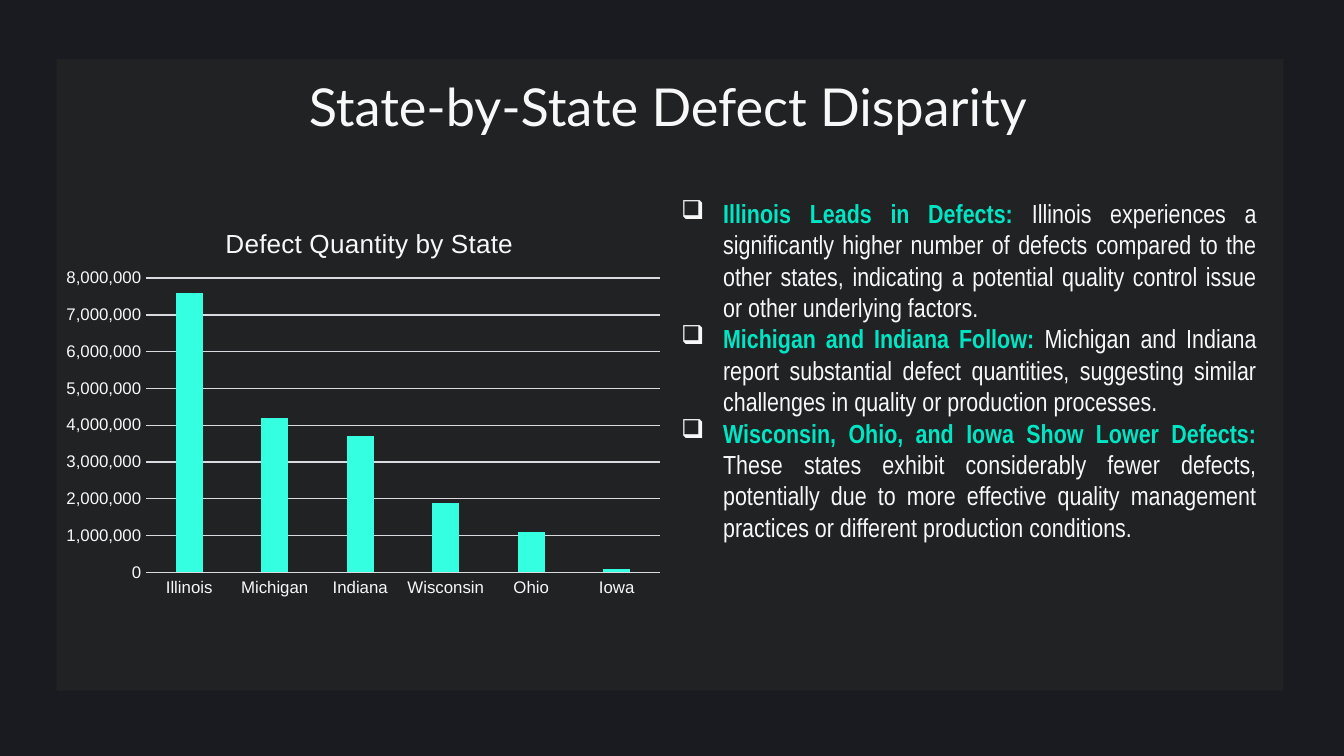
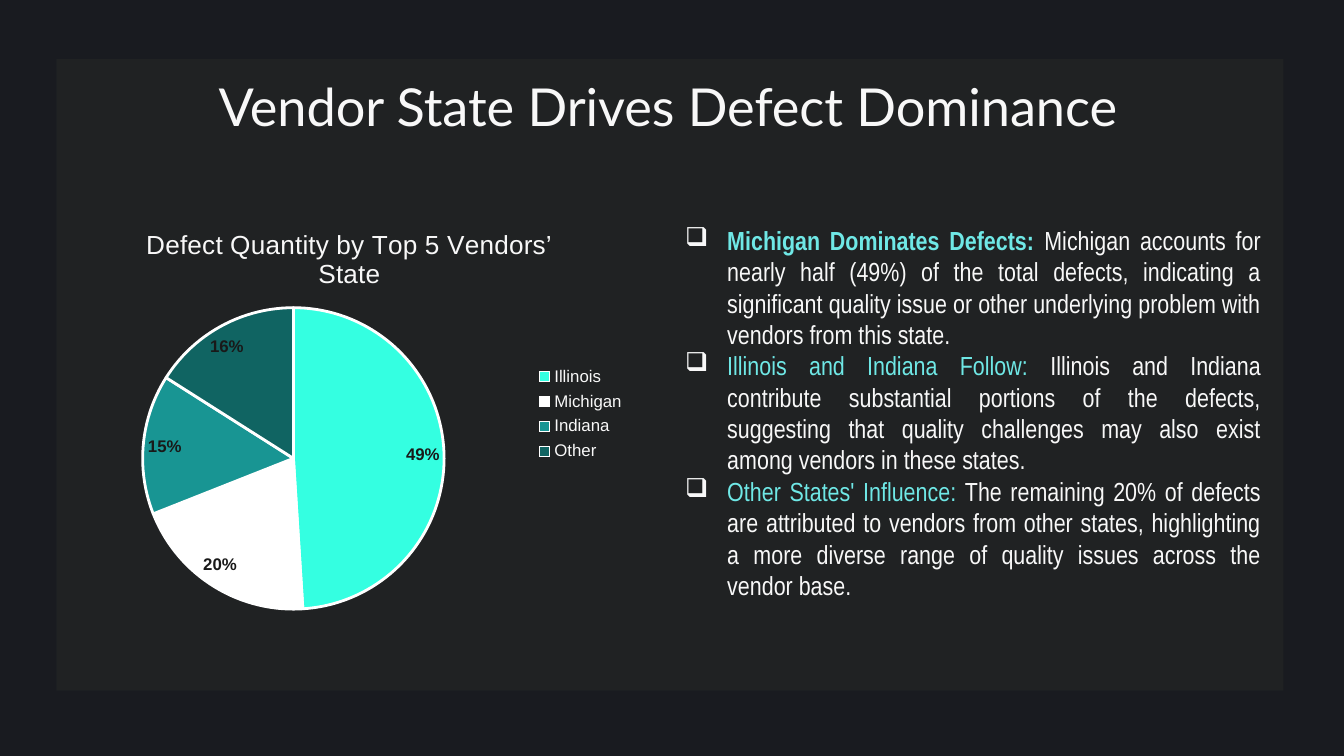
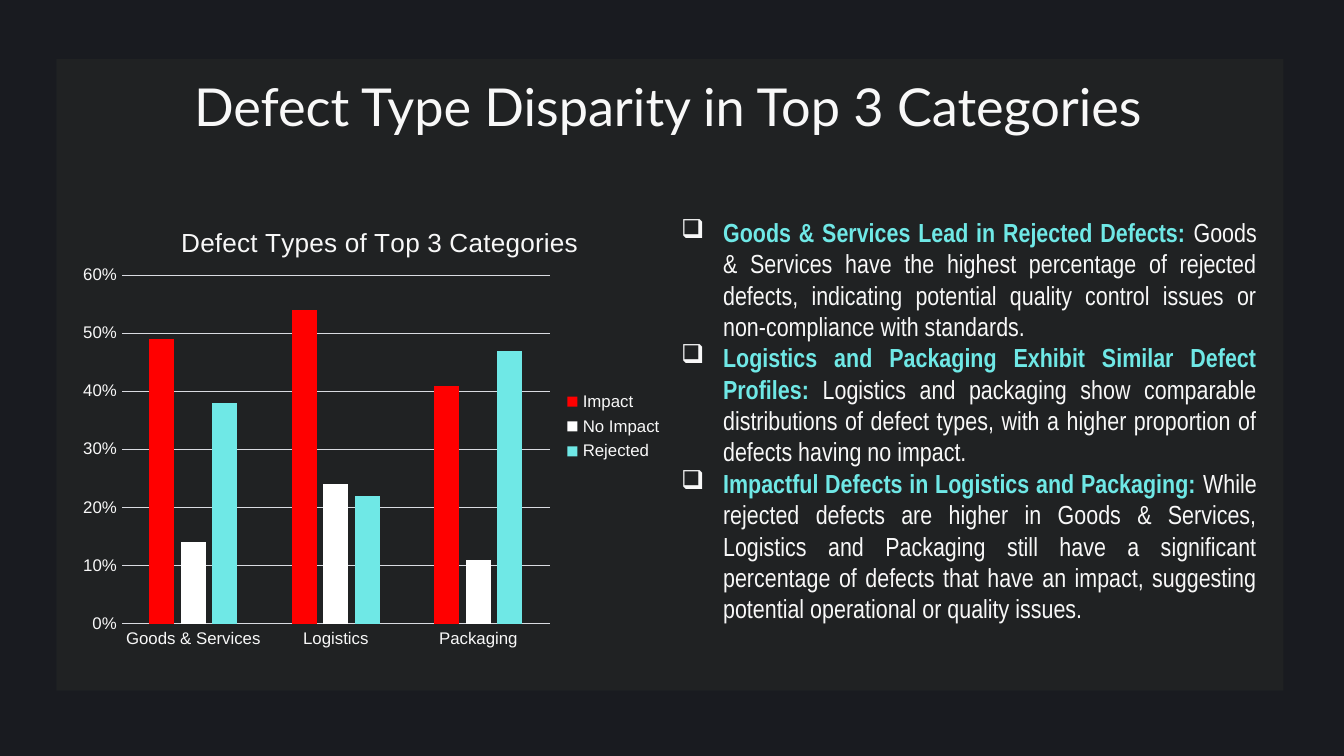
"""Build three dark slides on defect quantities and types."""
import lxml.etree
import pptx
import pptx.chart.data
import pptx.dml.color
import pptx.enum.chart
import pptx.enum.shapes
import pptx.enum.text
import pptx.oxml.ns
import pptx.util

Pt = pptx.util.Pt
RGB = pptx.dml.color.RGBColor
XL = pptx.enum.chart
qn = pptx.oxml.ns.qn

INK = RGB(0x19, 0x1B, 0x20)
PANEL = RGB(0x22, 0x25, 0x25)
LIGHT = RGB(0xF8, 0xF8, 0xF8)
GRID = RGB(0xD9, 0xDB, 0xE1)
LABEL = RGB(0x19, 0x19, 0x19)
WHITE = RGB(0xFF, 0xFF, 0xFF)
RED = RGB(0xFF, 0x00, 0x00)
GREEN = RGB(0x00, 0xE6, 0xC4)
AQUA = RGB(0x6F, 0xE8, 0xE6)
TURQUOISE = RGB(0x34, 0xFF, 0xE1)
TEAL = RGB(0x18, 0x95, 0x93)
DEEP_TEAL = RGB(0x10, 0x64, 0x62)


class Deck:
    """Hold the shared style and the current slide."""

    def __init__(self):
        self.prs = pptx.Presentation()
        self.prs.slide_width, self.prs.slide_height = Pt(720), Pt(405)
        self.layout = self.prs.slide_layouts[5]
        fill = self.prs.slide_master.background.fill
        fill.solid()
        fill.fore_color.rgb = INK
        self.s = None

    def style(self, font, size, color, name="Arial", bold=False):
        font.size, font.name, font.bold = Pt(size), name, bold
        font.color.rgb = color

    def paint(self, fmt, color):
        fmt.fill.solid()
        fmt.fill.fore_color.rgb = color

    def slide(self, title, height=62.6):
        self.s = self.prs.slides.add_slide(self.layout)
        sp = self.s.shapes.title
        sp.left, sp.top, sp.width, sp.height = Pt(28.8), Pt(32.4), Pt(658), Pt(height)
        tf = sp.text_frame
        tf.text = title
        tf.word_wrap = True
        tf.auto_size = pptx.enum.text.MSO_AUTO_SIZE.NONE
        tf.vertical_anchor = pptx.enum.text.MSO_ANCHOR.TOP
        tf.margin_left = tf.margin_right = tf.margin_top = tf.margin_bottom = Pt(7.2)
        p = tf.paragraphs[0]
        p.alignment = pptx.enum.text.PP_ALIGN.CENTER
        self.style(p.runs[0].font, 28, LIGHT, "Lato")

    def panel(self):
        sp = self.s.shapes.add_shape(
            pptx.enum.shapes.MSO_SHAPE.RECTANGLE, Pt(30.2), Pt(31.7), Pt(657.4), Pt(338.4))
        sp.shadow.inherit = False
        self.paint(sp, PANEL)
        sp.line.fill.background()
        color = sp.element.find(".//" + qn("a:srgbClr"))
        lxml.etree.SubElement(color, qn("a:alpha"), val="78000")
        self.layout.shapes.element.insert(2, sp.element)

    def bullet(self, p):
        pPr = p._p.get_or_add_pPr()
        pPr.set("marL", str(Pt(22.5)))
        pPr.set("indent", str(-Pt(22.5)))
        color = lxml.etree.SubElement(pPr, qn("a:buClr"))
        lxml.etree.SubElement(color, qn("a:srgbClr"), val=str(LIGHT))
        lxml.etree.SubElement(pPr, qn("a:buChar"), char="❑")

    def findings(self, left, top, height, color, items, bold_leads=3):
        sp = self.s.shapes.add_textbox(Pt(left), Pt(top), Pt(322.6), Pt(height))
        tf = sp.text_frame
        tf.word_wrap = True
        tf.auto_size = pptx.enum.text.MSO_AUTO_SIZE.SHAPE_TO_FIT_TEXT
        for i, (lead, body) in enumerate(items):
            p = tf.add_paragraph() if i else tf.paragraphs[0]
            p.alignment = pptx.enum.text.PP_ALIGN.JUSTIFY
            self.bullet(p)
            for text, ink, bold in ((lead, color, i < bold_leads), (" " + body, LIGHT, False)):
                r = p.add_run()
                r.text = text
                self.style(r.font, 14, ink, "Arial Narrow", bold)

    def place(self, parent, index, **fractions):
        old = parent.find(qn("c:layout"))
        if old is not None:
            parent.remove(old)
        layout = lxml.etree.Element(qn("c:layout"))
        manual = lxml.etree.SubElement(layout, qn("c:manualLayout"))
        if "w" in fractions:
            lxml.etree.SubElement(manual, qn("c:layoutTarget"), val="inner")
        for mode in ("xMode", "yMode"):
            lxml.etree.SubElement(manual, qn("c:" + mode), val="edge")
        for key, value in fractions.items():
            lxml.etree.SubElement(manual, qn("c:" + key), val=str(value))
        parent.insert(index, layout)

    def chart(self, kind, box, title, title_x, plot, cats, series, fmt, legend=True):
        data = pptx.chart.data.CategoryChartData(number_format=fmt)
        data.categories = cats
        for name, values in series:
            data.add_series(name, values)
        chart = self.s.shapes.add_chart(kind, *map(Pt, box), data).chart
        self.style(chart.font, 10, INK)
        chart.has_title = True
        tf = chart.chart_title.text_frame
        tf.text = title
        self.style(tf.paragraphs[0].runs[0].font, 14, LIGHT)
        self.place(chart.chart_title._element, 1, x=title_x, y=0.05)
        self.place(chart._chartSpace.chart.plotArea, 0, **dict(zip("xywh", plot)))
        chart.has_legend = legend
        if legend:
            chart.legend.position = XL.XL_LEGEND_POSITION.RIGHT
            chart.legend.include_in_layout = False
            self.style(chart.legend.font, 9, LIGHT)
        return chart

    def columns(self, box, title, title_x, plot, cats, series, colors, fmt):
        chart = self.chart(XL.XL_CHART_TYPE.COLUMN_CLUSTERED, box, title, title_x,
                           plot, cats, series, fmt, len(series) > 1)
        bars = chart.plots[0]
        bars.gap_width, bars.overlap, bars.vary_by_categories = 219, -27, False
        for ser, color in zip(bars.series, colors):
            self.paint(ser.format, color)
        for axis in (chart.category_axis, chart.value_axis):
            axis.major_tick_mark = axis.minor_tick_mark = XL.XL_TICK_MARK.NONE
            self.style(axis.tick_labels.font, 9, LIGHT)
        axis.tick_labels.number_format = fmt
        axis.tick_labels.number_format_is_linked = False
        axis.format.line.fill.background()
        axis.has_major_gridlines = True
        for line in (chart.category_axis.format.line, axis.major_gridlines.format.line):
            line.color.rgb, line.width = GRID, Pt(0.75)

    def pie(self, box, title, title_x, plot, cats, series, colors, fmt):
        chart = self.chart(XL.XL_CHART_TYPE.PIE, box, title, title_x, plot, cats, series, fmt)
        pie = chart.plots[0]
        pie.vary_by_categories = True
        ser = pie.series[0]
        for i, color in enumerate(colors):
            point = ser.points[i].format
            self.paint(point, color)
            point.line.color.rgb, point.line.width = WHITE, Pt(1.5)
        labels = ser.data_labels
        labels.show_value = True
        labels.number_format, labels.number_format_is_linked = fmt, False
        labels.position = XL.XL_LABEL_POSITION.BEST_FIT
        self.style(labels.font, 9, LABEL, bold=True)


def main():
    deck = Deck()

    deck.slide("State-by-State Defect Disparity")
    deck.panel()
    deck.findings(357.8, 102.2, 227.5, GREEN, [
        ("Illinois Leads in Defects:",
         "Illinois experiences a significantly higher number of defects compared to the other "
         "states, indicating a potential quality control issue or other underlying factors."),
        ("Michigan and Indiana Follow:",
         "Michigan and Indiana report substantial defect quantities, suggesting similar "
         "challenges in quality or production processes."),
        ("Wisconsin, Ohio, and Iowa Show Lower Defects:",
         "These states exhibit considerably fewer defects, potentially due to more effective "
         "quality management practices or different production conditions."),
    ])
    deck.columns(
        (28.8, 108, 331.2, 216), "Defect Quantity by State", 0.27, (0.15, 0.19, 0.83, 0.73),
        ["Illinois", "Michigan", "Indiana", "Wisconsin", "Ohio", "Iowa"],
        [("Series 1", (7600000, 4200000, 3700000, 1900000, 1100000, 100000))],
        [TURQUOISE], "#,##0")

    deck.slide("Vendor State Drives Defect Dominance")
    deck.findings(360, 116.6, 211, AQUA, [
        ("Michigan Dominates Defects:",
         "Michigan accounts for nearly half (49%) of the total defects, indicating a significant "
         "quality issue or other underlying problem with vendors from this state."),
        ("Illinois and Indiana Follow:",
         "Illinois and Indiana contribute substantial portions of the defects, suggesting that "
         "quality challenges may also exist among vendors in these states."),
        ("Other States' Influence:",
         "The remaining 20% of defects are attributed to vendors from other states, highlighting "
         "a more diverse range of quality issues across the vendor base."),
    ], bold_leads=1)
    deck.pie(
        (28.8, 108, 313.2, 227.5), "Defect Quantity by Top 5 Vendors’ State", 0.15,
        (0.15, 0.25, 0.52, 0.71), ["Illinois", "Michigan", "Indiana", "Other"],
        [("Series 1", (0.49, 0.2, 0.15, 0.16))],
        [TURQUOISE, WHITE, TEAL, DEEP_TEAL], "0%")

    deck.slide("Defect Type Disparity in Top 3 Categories", 73.4)
    deck.findings(357.8, 112.3, 244.8, AQUA, [
        ("Goods & Services Lead in Rejected Defects:",
         "Goods & Services have the highest percentage of rejected defects, indicating potential "
         "quality control issues or non-compliance with standards."),
        ("Logistics and Packaging Exhibit Similar Defect Profiles:",
         "Logistics and packaging show comparable distributions of defect types, with a higher "
         "proportion of defects having no impact."),
        ("Impactful Defects in Logistics and Packaging:",
         "While rejected defects are higher in Goods & Services, Logistics and Packaging still "
         "have a significant percentage of defects that have an impact, suggesting potential "
         "operational or quality issues."),
    ])
    deck.columns(
        (39.6, 105.8, 322.6, 245.5), "Defect Types of Top 3 Categories", 0.17,
        (0.08, 0.17, 0.71, 0.76), ["Goods & Services", "Logistics", "Packaging"],
        [("Impact", (0.49, 0.54, 0.41)),
         ("No Impact", (0.14, 0.24, 0.11)),
         ("Rejected", (0.38, 0.22, 0.47))],
        [RED, WHITE, AQUA], "0%")

    deck.prs.save("out.pptx")


if __name__ == "__main__":
    main()
